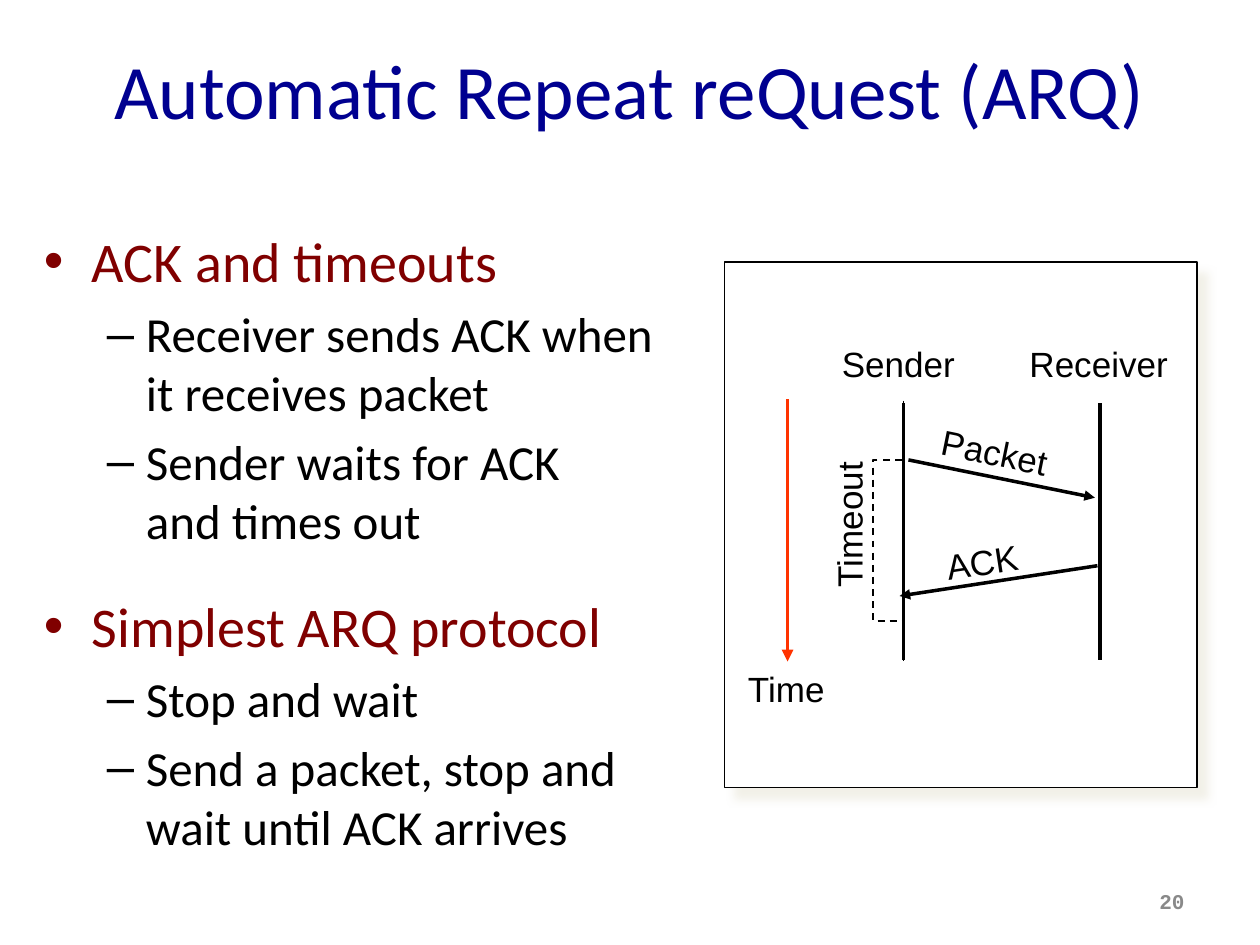
"""Build a slide that explains Automatic Repeat reQuest with a timing diagram."""
from lxml import etree
from pptx import Presentation
from pptx import util as u
from pptx.dml.color import RGBColor
from pptx.enum import dml, shapes, text
from pptx.oxml import ns

BLACK = RGBColor(0x00, 0x00, 0x00)
WHITE = RGBColor(0xFF, 0xFF, 0xFF)
NAVY = RGBColor(0x00, 0x00, 0x90)
MAROON = RGBColor(0x80, 0x00, 0x00)
GREY = RGBColor(0x89, 0x89, 0x89)
IVORY = RGBColor(0xEE, 0xEC, 0xE1)
ORANGE = RGBColor(0xFF, 0x33, 0x00)

SENDER_X, RECEIVER_X = 7.17, 8.73
LIFE_TOP, LIFE_END = 3.2, 5.24

TOPICS = [
    ("ACK and timeouts", [
        ("Receiver sends ACK when", "it receives packet"),
        ("Sender waits for ACK", "and times out"),
    ]),
    ("Simplest ARQ protocol", [
        ("Stop and wait",),
        ("Send a packet, stop and wait until ACK arrives",),
    ]),
]


class SlideBuilder:
    """Hold the style and the current slide, and draw each kind of element."""

    body_font = "Calibri"
    label_font = "Arial"
    label_size = 20

    def __init__(self, slide):
        self.slide = slide

    def child(self, parent, tag, **attributes):
        return etree.SubElement(parent, ns.qn(tag), attributes)

    def frame(self, left, top, width, height, anchor, wrap=True):
        box = self.slide.shapes.add_textbox(*map(u.Inches, (left, top, width, height)))
        box.text_frame.word_wrap = wrap
        box.text_frame.vertical_anchor = anchor
        return box

    def span(self, para, words, size, font, color, bold=False):
        span = para.add_run()
        span.text = words
        span.font.size = u.Pt(size)
        span.font.name = font
        span.font.color.rgb = color
        span.font.bold = bold

    def line_of_text(self, words, place, size, font, color, align, bold=False, wrap=True):
        box = self.frame(*place, text.MSO_ANCHOR.MIDDLE, wrap)
        para = box.text_frame.paragraphs[0]
        para.alignment = align
        self.span(para, words, size, font, color, bold)
        return box

    def label(self, words, left, top, width, rotation=0):
        box = self.line_of_text(words, (left, top, width, 0.43), self.label_size,
                                self.label_font, BLACK, text.PP_ALIGN.CENTER, wrap=False)
        box.rotation = rotation

    def bullet(self, para, lines, level, size, color, mark, margin, indent, after=0):
        para.level = level
        para.space_before = u.Pt(size * 0.2)
        para.space_after = u.Pt(after)
        props = para._p.get_or_add_pPr()
        props.set("marL", str(u.Inches(margin)))
        props.set("indent", str(u.Inches(-indent)))
        self.child(props, "a:buFont", typeface=self.label_font)
        self.child(props, "a:buChar", char=mark)
        for number, words in enumerate(lines):
            if number:
                para.add_line_break()
            self.span(para, words, size, self.body_font, color)

    def outline(self, topics, place):
        body = self.frame(*place, text.MSO_ANCHOR.TOP).text_frame
        for number, (heading, points) in enumerate(topics):
            para = body.add_paragraph() if number else body.paragraphs[0]
            self.bullet(para, (heading,), 0, 32, MAROON, "•", 0.38, 0.38)
            for point in points:
                last = point is points[-1] and number < len(topics) - 1
                self.bullet(body.add_paragraph(), point, 1, 28, BLACK, "–",
                            0.81, 0.31, after=18 if last else 0)

    def panel(self, left, top, width, height):
        panel = self.slide.shapes.add_shape(
            shapes.MSO_SHAPE.RECTANGLE, *map(u.Inches, (left, top, width, height)))
        panel.fill.solid()
        panel.fill.fore_color.rgb = WHITE
        panel.line.color.rgb = BLACK
        panel.line.width = u.Pt(0.75)
        effects = self.child(panel._element.spPr, "a:effectLst")
        shadow = self.child(effects, "a:outerShdw", blurRad=str(u.Pt(5)),
                            dist=str(u.Pt(8.5)), dir=str(45 * 60000),
                            algn="ctr", rotWithShape="0")
        tint = self.child(shadow, "a:srgbClr", val=str(IVORY))
        self.child(tint, "a:alpha", val="75000")

    def line(self, start, end, color=BLACK, width=2, arrow=False):
        line = self.slide.shapes.add_connector(
            shapes.MSO_CONNECTOR.STRAIGHT, *map(u.Inches, (*start, *end)))
        line.line.color.rgb = color
        line.line.width = u.Pt(width)
        if arrow:
            self.child(line.line._get_or_add_ln(), "a:tailEnd", type="triangle")
        self.child(line._element.spPr, "a:effectLst")

    def dashed_path(self, points):
        corners = [(u.Inches(x), u.Inches(y)) for x, y in points]
        builder = self.slide.shapes.build_freeform(*corners[0])
        builder.add_line_segments(corners[1:], close=False)
        path = builder.convert_to_shape()
        path.shadow.inherit = False
        path.fill.background()
        path.line.color.rgb = BLACK
        path.line.width = u.Pt(1)
        path.line.dash_style = dml.MSO_LINE.DASH


def main():
    deck = Presentation()
    deck.slide_width, deck.slide_height = u.Inches(10), u.Inches(7.5)
    page = SlideBuilder(deck.slides.add_slide(deck.slide_layouts[6]))

    page.line_of_text("Automatic Repeat reQuest (ARQ)", (0.5, 0.08, 9, 1.25), 44,
                      "Calibri", NAVY, text.PP_ALIGN.CENTER)
    page.outline(TOPICS, (0.25, 1.75, 5.17, 4.95))
    page.line_of_text("20", (7.17, 6.95, 2.33, 0.4), 12, "Courier New", GREY,
                      text.PP_ALIGN.RIGHT, bold=True)

    page.panel(5.75, 2.08, 3.75, 4.17)
    page.dashed_path([(SENDER_X, 3.18), (SENDER_X, 3.65), (6.93, 3.65),
                      (6.93, 4.93), (SENDER_X, 4.93), (SENDER_X, 5.25)])
    for x in (SENDER_X, RECEIVER_X):
        page.line((x, LIFE_TOP), (x, LIFE_END))
    page.line((7.21, 3.65), (8.69, 3.95), arrow=True)
    page.line((8.71, 4.49), (7.14, 4.73), arrow=True)
    page.line((6.25, 3.17), (6.25, 5.25), ORANGE, 2.25, arrow=True)

    page.label("Time", 5.83, 5.25, 0.82)
    page.label("Packet", 7.37, 3.37, 1.05, 11.5)
    page.label("ACK", 7.41, 4.24, 0.77, 351.2)
    page.label("Timeout", 6.07, 3.95, 1.33, 270)
    page.label("Sender", 6.58, 2.67, 1.1)
    page.label("Receiver", 8.07, 2.67, 1.3)

    deck.save("out.pptx")


if __name__ == "__main__":
    main()
